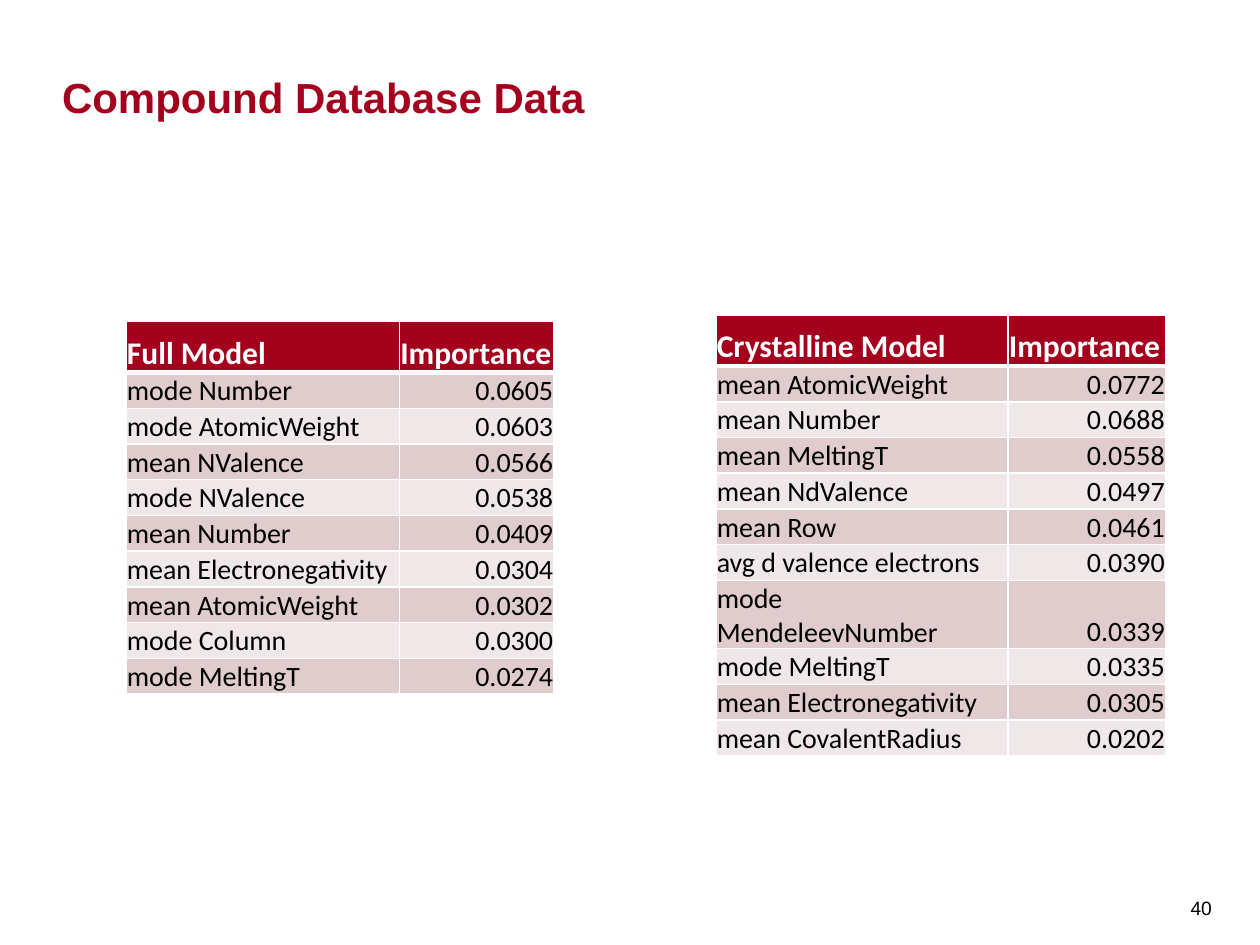
from dataclasses import dataclass

from lxml.etree import SubElement
from pptx import Presentation
from pptx.dml.color import RGBColor as RGB
from pptx.enum.text import MSO_ANCHOR as Anchor, PP_ALIGN as Align
from pptx.oxml.ns import qn
from pptx.util import Cm, Pt


@dataclass(frozen=True)
class Theme:
    """Colours, fonts and type sizes of the slide."""
    accent: str = "A4001D"
    white: str = "FFFFFF"
    black: str = "000000"
    bands: tuple = ("E0CCCD", "F0E7E8")
    heading: str = "Arial"
    body: str = "Calibri"
    title_size: int = 24
    header_size: int = 18
    cell_size: int = 16
    number_size: int = 11


THEME = Theme()
HEADER_HEIGHT, ROW_HEIGHT = 1.03, 0.72

FULL_MODEL = [
    ("Full Model", "Importance"),
    ("mode Number", "0.0605"),
    ("mode AtomicWeight", "0.0603"),
    ("mean NValence", "0.0566"),
    ("mode NValence", "0.0538"),
    ("mean Number", "0.0409"),
    ("mean Electronegativity", "0.0304"),
    ("mean AtomicWeight", "0.0302"),
    ("mode Column", "0.0300"),
    ("mode MeltingT", "0.0274"),
]
CRYSTALLINE_MODEL = [
    ("Crystalline Model", "Importance"),
    ("mean AtomicWeight", "0.0772"),
    ("mean Number", "0.0688"),
    ("mean MeltingT", "0.0558"),
    ("mean NdValence", "0.0497"),
    ("mean Row", "0.0461"),
    ("avg d valence electrons", "0.0390"),
    ("mode MendeleevNumber", "0.0339"),
    ("mode MeltingT", "0.0335"),
    ("mean Electronegativity", "0.0305"),
    ("mean CovalentRadius", "0.0202"),
]


def set_all(obj, values):
    """Set each named attribute of an object."""
    for name, value in values.items():
        setattr(obj, name, value)


def write(tf, text, font, size, color, bold=False, align=Align.LEFT):
    """Write one formatted line into a text frame."""
    p = tf.paragraphs[0]
    p.alignment = align
    r = p.add_run()
    r.text = text
    set_all(r.font, {"name": font, "size": Pt(size), "bold": bold})
    r.font.color.rgb = RGB.from_string(color)


def place(sp, box, anchor, margins):
    """Move a shape to its box and set its text frame."""
    set_all(sp, dict(zip(("left", "top", "width", "height"), map(Cm, box))))
    tf = sp.text_frame
    sides = ("margin_left", "margin_top", "margin_right", "margin_bottom")
    set_all(tf, {"word_wrap": True, "vertical_anchor": anchor,
                 **dict(zip(sides, map(Cm, margins)))})
    return tf


def add_title(s, box, text):
    """Fill the title placeholder."""
    tf = place(s.shapes.title, box, Anchor.BOTTOM, (0, 0, 0, 0))
    write(tf, text, THEME.heading, THEME.title_size, THEME.accent, True)


def add_page_number(s, box, text):
    """Add the page number."""
    sp = s.shapes.add_textbox(0, 0, 0, 0)
    tf = place(sp, box, Anchor.MIDDLE, (0.2, 0.15, 0.2, 0.13))
    write(tf, text, THEME.heading, THEME.number_size, THEME.black)


def add_borders(cell, widths):
    """Give a cell white borders, ahead of its fill."""
    tc_pr = cell._tc.get_or_add_tcPr()
    for i, (side, width) in enumerate(widths.items()):
        ln = SubElement(tc_pr, qn(f"a:ln{side}"), w=str(Pt(width)))
        fill = SubElement(ln, qn("a:solidFill"))
        SubElement(fill, qn("a:srgbClr"), val=THEME.white)
        tc_pr.insert(i, ln)


def fill_cell(cell, text, row, col):
    """Write and format a header or body cell."""
    header = row == 0
    set_all(cell, {"margin_left": Cm(0.02), "margin_right": Cm(0.02),
                   "margin_top": Cm(0.02), "margin_bottom": 0,
                   "vertical_anchor": Anchor.BOTTOM})
    cell.fill.solid()
    fill = THEME.accent if header else THEME.bands[(row - 1) % 2]
    cell.fill.fore_color.rgb = RGB.from_string(fill)
    write(cell.text_frame, text, THEME.body,
          THEME.header_size if header else THEME.cell_size,
          THEME.white if header else THEME.black, header,
          Align.RIGHT if col and not header else Align.LEFT)
    top = {"T": 1} if header else {}
    add_borders(cell, {"L": 1, "R": 1, **top, "B": 3 if header else 1})


def add_importance_table(s, left, top, col_widths, data):
    """Add a feature importance table with its corner at left, top."""
    heights = [HEADER_HEIGHT] + [ROW_HEIGHT] * (len(data) - 1)
    table = s.shapes.add_table(len(data), len(col_widths), Cm(left), Cm(top),
                               Cm(sum(col_widths)), Cm(sum(heights))).table
    for column, width in zip(table.columns, col_widths):
        column.width = Cm(width)
    for i, (values, height) in enumerate(zip(data, heights)):
        table.rows[i].height = Cm(height)
        for j, text in enumerate(values):
            fill_cell(table.cell(i, j), text, i, j)


def main():
    """Build and save the slide."""
    prs = Presentation()
    set_all(prs, {"slide_width": Cm(25.4), "slide_height": Cm(19.05)})
    s = prs.slides.add_slide(prs.slide_layouts[5])
    add_page_number(s, (23.8, 17.55, 0.89, 1.5), "40")
    add_title(s, (1.25, 0.37, 22.5, 2.08), "Compound Database Data")
    add_importance_table(s, 14.43, 6.35, (5.89, 3.18), CRYSTALLINE_MODEL)
    add_importance_table(s, 2.54, 6.48, (5.51, 3.12), FULL_MODEL)
    prs.save("out.pptx")


if __name__ == "__main__":
    main()
